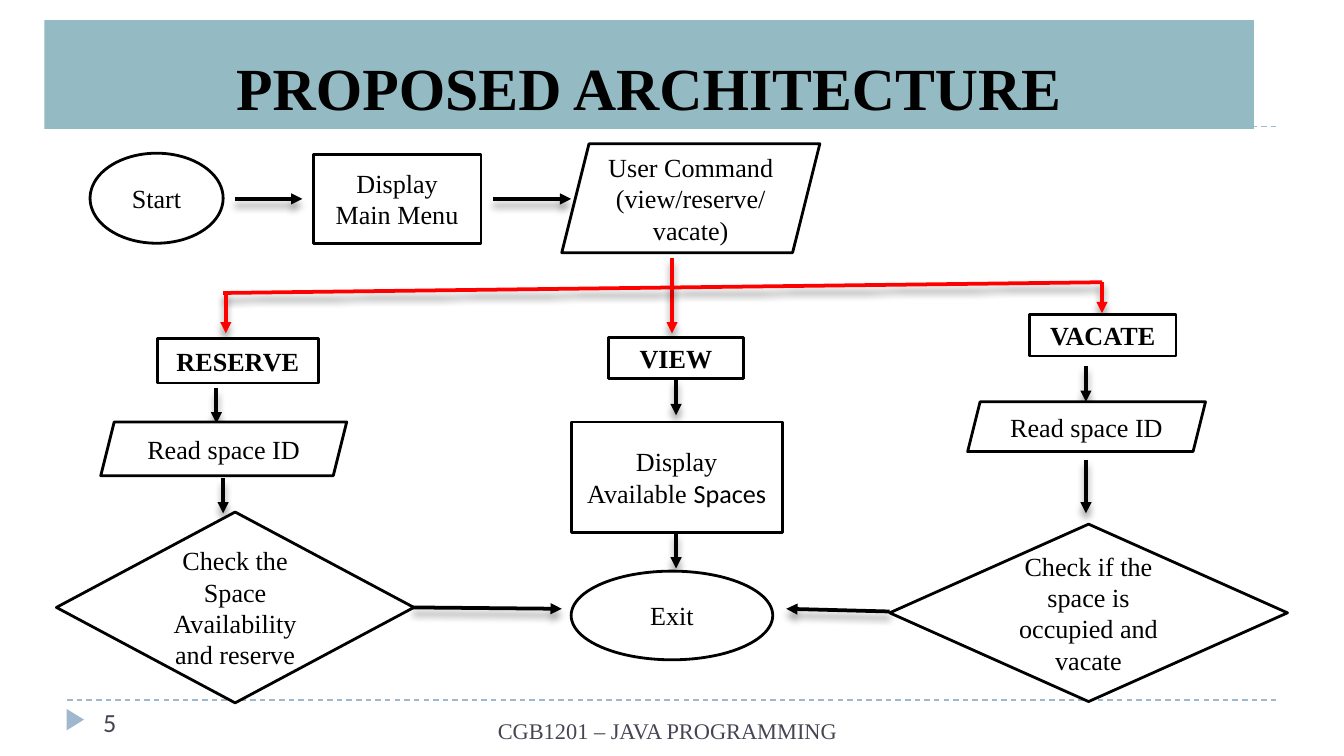
from lxml import etree
from pptx import Presentation
from pptx.dml.color import RGBColor
from pptx.enum.dml import MSO_LINE
from pptx.enum.shapes import MSO_CONNECTOR, MSO_SHAPE
from pptx.enum.text import MSO_ANCHOR, PP_ALIGN
from pptx.oxml.ns import qn
from pptx.util import Inches, Pt

RECTANGLE = MSO_SHAPE.RECTANGLE
OVAL = MSO_SHAPE.OVAL
DATA = MSO_SHAPE.PARALLELOGRAM
DECISION = MSO_SHAPE.FLOWCHART_DECISION
TRIANGLE = MSO_SHAPE.ISOSCELES_TRIANGLE
STRAIGHT = MSO_CONNECTOR.STRAIGHT
DASH = MSO_LINE.DASH
LEFT, CENTER, RIGHT = PP_ALIGN.LEFT, PP_ALIGN.CENTER, PP_ALIGN.RIGHT
TOP, MIDDLE, BOTTOM = MSO_ANCHOR.TOP, MSO_ANCHOR.MIDDLE, MSO_ANCHOR.BOTTOM

SLIDE_WIDTH = Inches(10)
SLIDE_HEIGHT = SLIDE_WIDTH * 9 // 16
SERIF, SANS = "Times New Roman", "Calibri"
BLACK, WHITE, RED = "000000", "FFFFFF", "FF0000"
TEAL, PALE_BLUE, GRAY = "94BAC3", "9FB8CD", "464653"

TITLE = "PROPOSED ARCHITECTURE"
FOOTER = "CGB1201 – JAVA PROGRAMMING"
SLIDE_NUMBER = "5"
RULE_HEIGHTS = [0.94, 5.21]

# kind, (left, top, width, height), text, bold
STEPS = [
    (OVAL, (0.67, 1.14, 0.99, 0.67), "Start", False),
    (RECTANGLE, (2.33, 1.15, 1.25, 0.66), "Display Main Menu", False),
    (DATA, (4.18, 1.07, 1.92, 0.81), "User Command\n(view/reserve/\nvacate)", False),
    (RECTANGLE, (1.17, 2.52, 1.2, 0.33), "RESERVE", True),
    (DATA, (0.75, 3.14, 1.83, 0.4), "Read space ID", False),
    (DECISION, (0.42, 3.81, 2.66, 1.42), "Check the Space Availability and reserve", False),
    (RECTANGLE, (4.53, 2.51, 1, 0.31), "VIEW", True),
    (RECTANGLE, (4.25, 3.14, 1.57, 0.82), "Display Available Spaces", False),
    (OVAL, (4.25, 4.25, 1.5, 0.66), "Exit", False),
    (RECTANGLE, (7.66, 2.34, 1.09, 0.31), "VACATE", True),
    (DATA, (7.2, 2.99, 1.77, 0.37), "Read space ID", False),
    (DECISION, (6.62, 3.9, 2.96, 1.32), "Check if the space is occupied and vacate", False),
]
SANS_WORD = "Spaces"

# start, end, color, arrowhead
FLOWS = [
    ((1.75, 1.48), (2.25, 1.48), BLACK, True),
    ((3.67, 1.48), (4.25, 1.48), BLACK, True),
    ((5, 1.92), (5, 2.17), RED, False),
    ((5, 2.17), (5, 2.48), RED, True),
    ((8.2, 2.1), (1.66, 2.18), RED, False),
    ((1.68, 2.17), (1.68, 2.48), RED, True),
    ((8.2, 2.1), (8.2, 2.33), RED, True),
    ((1.61, 2.89), (1.61, 3.15), BLACK, True),
    ((1.66, 3.56), (1.66, 3.82), BLACK, True),
    ((5.03, 2.82), (5.03, 3.09), BLACK, True),
    ((5.03, 3.96), (5.03, 4.23), BLACK, True),
    ((8.08, 2.72), (8.08, 2.99), BLACK, True),
    ((8.08, 3.42), (8.08, 3.82), BLACK, True),
    ((3.07, 4.52), (4.18, 4.53), BLACK, True),
    ((6.62, 4.55), (5.85, 4.53), BLACK, True),
]


def rgb(color):
    return RGBColor.from_string(color)


def format_font(run, size, color, bold=False, name=SERIF):
    run.font.name = name
    run.font.size = Pt(size)
    run.font.bold = bold
    run.font.color.rgb = rgb(color)


def write(shape, text, size, color, align=CENTER, anchor=MIDDLE, bold=False, name=SERIF):
    frame = shape.text_frame
    frame.word_wrap = True
    frame.vertical_anchor = anchor
    frame.text = text
    for paragraph in frame.paragraphs:
        paragraph.alignment = align
        for run in paragraph.runs:
            format_font(run, size, color, bold, name)


def add_box(slide, kind, box, fill, outline=None):
    shape = slide.shapes.add_shape(kind, *map(Inches, box))
    shape.shadow.inherit = False
    shape.fill.solid()
    shape.fill.fore_color.rgb = rgb(fill)
    if outline:
        shape.line.color.rgb = rgb(outline)
        shape.line.width = Pt(1.5)
    else:
        shape.line.fill.background()
    return shape


def add_line(slide, start, end, color, width):
    """Add a straight connector; return it with its empty effect list."""
    line = slide.shapes.add_connector(STRAIGHT, *map(Inches, start + end))
    line.line.color.rgb = rgb(color)
    line.line.width = Pt(width)
    effects = etree.SubElement(line.element.spPr, qn("a:effectLst"))
    return line, effects


def add_flow(slide, start, end, color, arrowhead):
    line, effects = add_line(slide, start, end, color, 2)
    if arrowhead:
        outline = line.element.spPr.find(qn("a:ln"))
        etree.SubElement(outline, qn("a:tailEnd"), type="triangle")
    shadow = etree.SubElement(
        effects, qn("a:outerShdw"), blurRad=str(Pt(4)), dist=str(Pt(3.4)),
        dir=str(90 * 60000), rotWithShape="0")
    shade = etree.SubElement(shadow, qn("a:srgbClr"), val=BLACK)
    etree.SubElement(shade, qn("a:alpha"), val="40000")


def add_frame(slide):
    """Add the title band, dashed rules, footer and slide number."""
    for height in RULE_HEIGHTS:
        rule, _ = add_line(slide, (0.5, height), (9.5, height), PALE_BLUE, 0.75)
        rule.line.dash_style = DASH
    marker = add_box(slide, TRIANGLE, (0.48, 5.29, 0.16, 0.13), PALE_BLUE)
    marker.rotation = 90

    title = add_box(slide, RECTANGLE, (0.33, 0.15, 9, 0.81), TEAL)
    write(title, TITLE, 32, BLACK, anchor=BOTTOM, bold=True)

    footer = slide.shapes.add_textbox(*map(Inches, (2, 5.29, 4.41, 0.25)))
    footer.text_frame.margin_right = Inches(0.18)
    write(footer, FOOTER, 12, GRAY, RIGHT, TOP)

    number = slide.shapes.add_textbox(*map(Inches, (0.67, 5.21, 2.17, 0.3)))
    write(number, SLIDE_NUMBER, 14, GRAY, LEFT, TOP, name=SANS)


def add_step(slide, kind, box, text, bold):
    shape = add_box(slide, kind, box, WHITE, BLACK)
    serif_text = text.removesuffix(SANS_WORD)
    write(shape, serif_text, 14, BLACK, bold=bold)
    if serif_text != text:
        run = shape.text_frame.paragraphs[-1].add_run()
        run.text = SANS_WORD
        format_font(run, 14, BLACK, bold, SANS)


def main():
    presentation = Presentation()
    presentation.slide_width = SLIDE_WIDTH
    presentation.slide_height = SLIDE_HEIGHT
    slide = presentation.slides.add_slide(presentation.slide_layouts[6])
    add_frame(slide)
    for flow in FLOWS:
        add_flow(slide, *flow)
    for step in STEPS:
        add_step(slide, *step)
    presentation.save("out.pptx")


if __name__ == "__main__":
    main()
